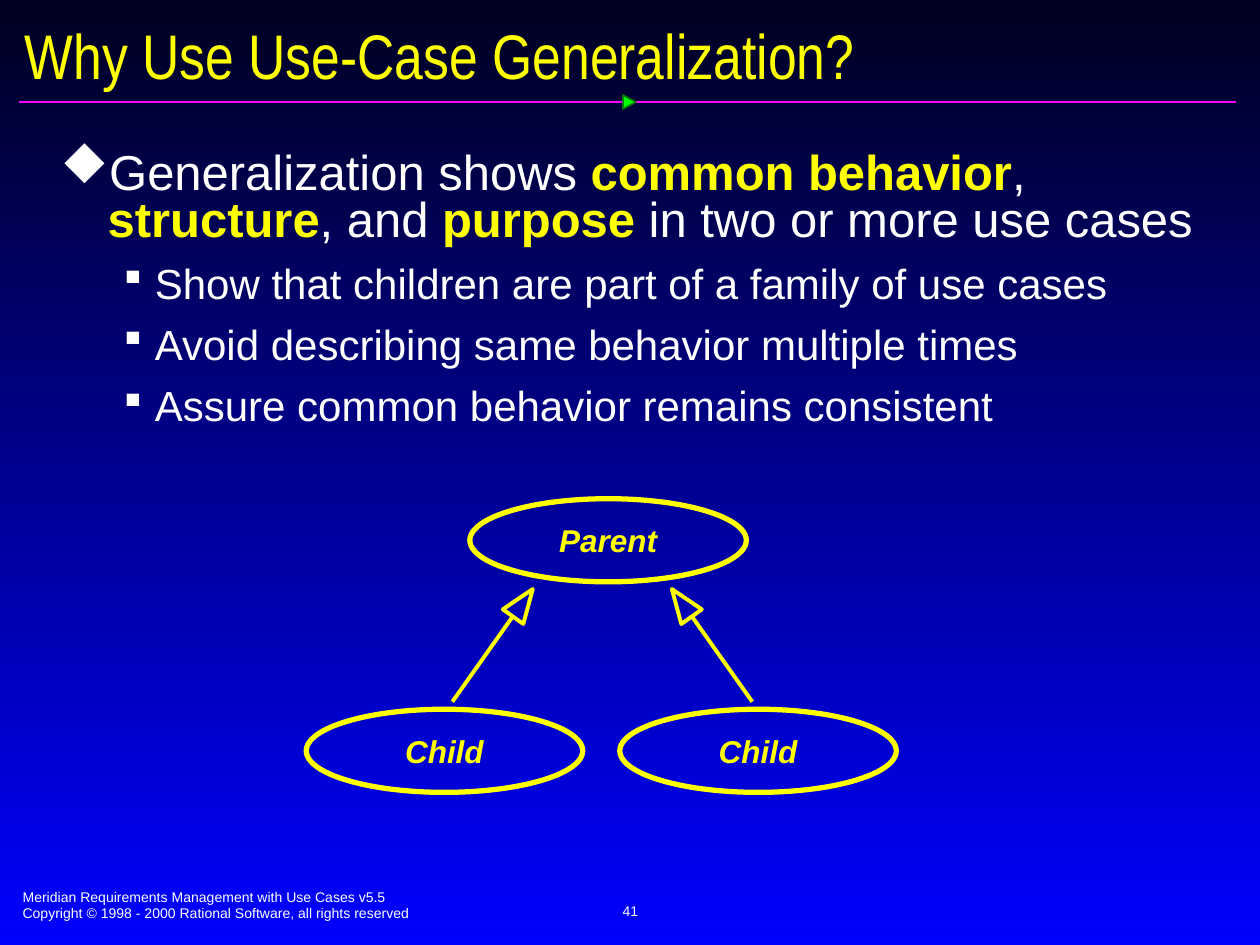
"""Build the slide on why to use use-case generalization."""
from dataclasses import dataclass

import pptx
import pptx.dml.color
import pptx.enum.shapes
import pptx.enum.text
import pptx.util
from lxml import etree
from pptx.oxml.ns import qn

Pt = pptx.util.Pt
Shape = pptx.enum.shapes.MSO_SHAPE
Anchor = pptx.enum.text.MSO_ANCHOR
Align = pptx.enum.text.PP_ALIGN

YELLOW, WHITE = "FFFF00", "FFFFFF"
AXIS = 344.2
WINGDINGS_DIAMOND, WINGDINGS_SQUARE = "u", "§"


@dataclass
class Level:
    size: float
    bullet: str
    margin: float
    hanging: float
    line_spacing: float


@dataclass
class UseCase:
    name: str
    left: float
    top: float


TOPIC = Level(28, WINGDINGS_DIAMOND, 27, 27, 0.8)
REASON = Level(24, WINGDINGS_SQUARE, 54, 18, 0.87)

POINTS = [
    (TOPIC, ["Generalization shows ", "*common behavior", ", ", "*structure",
             ", and ", "*purpose", " in two or more use cases"]),
    (REASON, ["Show that children are part of a family of use cases"]),
    (REASON, ["Avoid describing same behavior multiple times"]),
    (REASON, ["Assure common behavior remains consistent"]),
]

USE_CASES = [
    UseCase("Parent", 268.5, 285),
    UseCase("Child", 175, 405.3),
    UseCase("Child", 354.2, 405.3),
]


def rgb(value: str) -> pptx.dml.color.RGBColor:
    return pptx.dml.color.RGBColor.from_string(value)


def write(paragraph, text: str, *, size: float, color: str = WHITE,
          font: str = "Arial", bold: bool = False, italic: bool = False,
          align=Align.LEFT) -> None:
    paragraph.alignment = align
    run = paragraph.add_run()
    run.text = text
    run.font.name, run.font.size = font, Pt(size)
    run.font.bold, run.font.italic = bold, italic
    run.font.color.rgb = rgb(color)


def add_frame(slide, left: float, top: float, width: float, height: float, *,
              anchor=Anchor.TOP, wrap: bool = True):
    frame = slide.shapes.add_textbox(Pt(left), Pt(top), Pt(width), Pt(height)).text_frame
    frame.word_wrap, frame.vertical_anchor = wrap, anchor
    return frame


def next_paragraph(frame, index: int):
    return frame.add_paragraph() if index else frame.paragraphs[0]


def add_bullet(paragraph, level: Level) -> None:
    properties = paragraph._p.get_or_add_pPr()
    properties.set("marL", str(Pt(level.margin)))
    properties.set("indent", str(-Pt(level.hanging)))
    color = etree.SubElement(properties, qn("a:buClr"))
    etree.SubElement(color, qn("a:srgbClr")).set("val", WHITE)
    font = etree.SubElement(properties, qn("a:buFont"))
    font.set("typeface", "Wingdings")
    font.set("charset", "2")
    etree.SubElement(properties, qn("a:buChar")).set("char", level.bullet)


def add_outline(slide, kind, left: float, top: float, width: float, height: float, *,
                line: str, weight: float, fill: str = "", rotation: float = 0):
    shape = slide.shapes.add_shape(kind, Pt(left), Pt(top), Pt(width), Pt(height))
    shape.shadow.inherit = False
    shape.rotation = rotation
    if fill:
        shape.fill.solid()
        shape.fill.fore_color.rgb = rgb(fill)
    else:
        shape.fill.background()
    shape.line.color.rgb, shape.line.width = rgb(line), Pt(weight)
    return shape


def add_line(slide, x1: float, y1: float, x2: float, y2: float, *,
             color: str, weight: float) -> None:
    line = slide.shapes.add_connector(pptx.enum.shapes.MSO_CONNECTOR.STRAIGHT,
                                      Pt(x1), Pt(y1), Pt(x2), Pt(y2))
    line.line.color.rgb, line.line.width = rgb(color), Pt(weight)
    etree.SubElement(line._element.spPr, qn("a:effectLst"))


def add_use_case(slide, case: UseCase) -> None:
    ellipse = add_outline(slide, Shape.OVAL, case.left, case.top, 158, 47.5,
                          line=YELLOW, weight=3)
    frame = ellipse.text_frame
    frame.word_wrap, frame.vertical_anchor = False, Anchor.MIDDLE
    write(frame.paragraphs[0], case.name, size=18, color=YELLOW,
          bold=True, italic=True, align=Align.CENTER)


def add_generalization(slide, side: int) -> None:
    add_line(slide, AXIS + side * 51, 352, AXIS + side * 85.7, 401,
             color=YELLOW, weight=2.25)
    add_outline(slide, Shape.ISOSCELES_TRIANGLE, AXIS + side * 45.4 - 7.2, 334.8,
                14.4, 19.4, line=YELLOW, weight=2.25, rotation=-side * 35.5)


def add_background(slide) -> None:
    fill = slide.background.fill
    fill.gradient()
    fill.gradient_angle = 270
    for stop, position, color in zip(fill.gradient_stops, (0, 1), ("000021", "0000FF")):
        stop.position, stop.color.rgb = position, rgb(color)


def add_footer(slide) -> None:
    credits = add_frame(slide, 5.8, 504, 367, 26.6)
    for index, text in enumerate([
            "Meridian Requirements Management with Use Cases v5.5",
            "Copyright © 1998 - 2000 Rational Software, all rights reserved"]):
        write(next_paragraph(credits, index), text, size=8)
    number = add_frame(slide, 246.2, 502.6, 228.2, 36, anchor=Anchor.MIDDLE, wrap=False)
    write(number.paragraphs[0], "41", size=8, align=Align.CENTER)


def add_header(slide) -> None:
    add_line(slide, 10.8, 58.3, 706.3, 58.3, color="FF01FF", weight=1)
    add_outline(slide, Shape.ISOSCELES_TRIANGLE, 355.7, 54.7, 7.9, 7.2,
                line="037C03", weight=1, fill="00FF00", rotation=90)
    title = add_frame(slide, 7.2, 10.1, 708.5, 41.8, anchor=Anchor.MIDDLE)
    write(title.paragraphs[0], "Why Use Use-Case Generalization?",
          size=36, color=YELLOW, font="Arial Narrow")


def add_points(slide) -> None:
    body = add_frame(slide, 25.9, 82.8, 671, 397.4)
    body.margin_left = body.margin_right = Pt(8.6)
    body.margin_top = body.margin_bottom = Pt(4.3)
    for index, (level, parts) in enumerate(POINTS):
        paragraph = next_paragraph(body, index)
        paragraph.line_spacing = level.line_spacing
        paragraph.space_before = Pt(5 if index else 0)
        paragraph.space_after = Pt(5)
        add_bullet(paragraph, level)
        for part in parts:
            key = part.startswith("*")
            write(paragraph, part.lstrip("*"), size=level.size, bold=key,
                  color=YELLOW if key else WHITE)


def main() -> None:
    deck = pptx.Presentation()
    deck.slide_width, deck.slide_height = Pt(720), Pt(540)
    slide = deck.slides.add_slide(deck.slide_layouts[6])
    add_background(slide)
    add_footer(slide)
    add_header(slide)
    add_points(slide)
    for case in USE_CASES:
        add_use_case(slide, case)
    for side in (-1, 1):
        add_generalization(slide, side)
    deck.save("out.pptx")


if __name__ == "__main__":
    main()
